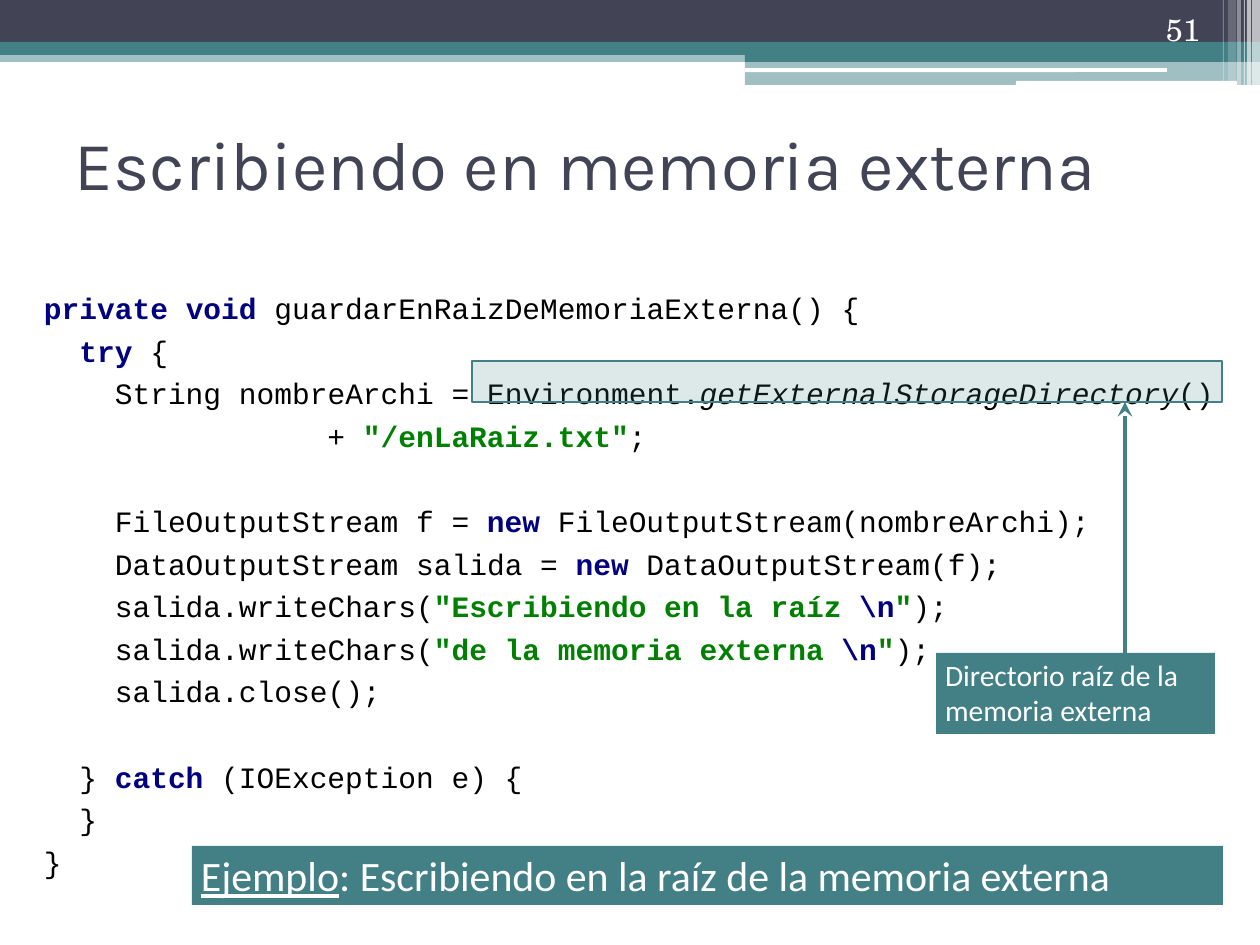
from dataclasses import dataclass
from typing import NamedTuple

from lxml import etree
from pptx import Presentation
from pptx.dml.color import RGBColor
from pptx.enum.shapes import MSO_CONNECTOR, MSO_SHAPE
from pptx.enum.text import MSO_ANCHOR, MSO_AUTO_SIZE, PP_ALIGN
from pptx.oxml.ns import qn
from pptx.util import Emu, Pt

EMU_PER_PX = 10321
RECT, ROUND_RECT = MSO_SHAPE.RECTANGLE, MSO_SHAPE.ROUNDED_RECTANGLE
STRAIGHT = MSO_CONNECTOR.STRAIGHT
TOP, MIDDLE, BOTTOM = MSO_ANCHOR.TOP, MSO_ANCHOR.MIDDLE, MSO_ANCHOR.BOTTOM
LEFT, RIGHT = PP_ALIGN.LEFT, PP_ALIGN.RIGHT
NO_AUTOFIT = MSO_AUTO_SIZE.NONE

TEAL = RGBColor(0x43, 0x80, 0x86)
SLATE = RGBColor(0x42, 0x44, 0x56)
WHITE = RGBColor(0xFF, 0xFF, 0xFF)
BLACK = RGBColor(0x00, 0x00, 0x00)
NAVY = RGBColor(0x00, 0x00, 0x80)
GREEN = RGBColor(0x00, 0x80, 0x00)

CODE_SIZE = 24
CODE_PITCH = 34.6
CODE_CHAR = 0.6 * CODE_SIZE


class Box(NamedTuple):
    left: int
    top: int
    width: int
    height: int


@dataclass(frozen=True)
class Band:
    box: Box
    color: RGBColor
    opacity: int = 100
    preset: MSO_SHAPE = RECT


@dataclass(frozen=True)
class Style:
    font: str
    size: int
    color: RGBColor
    bold: bool = False
    italic: bool = False
    underline: bool = False


class Span(NamedTuple):
    text: str
    style: Style


@dataclass(frozen=True)
class CodeLine:
    indent: int
    spans: list[Span]
    gap_before: bool = False


PLAIN = Style("Courier New", CODE_SIZE, BLACK)
METHOD = Style("Courier New", CODE_SIZE, BLACK, italic=True)
KEYWORD = Style("Courier New", CODE_SIZE, NAVY, bold=True)
STRING = Style("Courier New", CODE_SIZE, GREEN, bold=True)
TITLE = Style("Karla", 56, SLATE)
PAGE = Style("TeX Gyre Schola", 25, WHITE)
CALLOUT = Style("Calibri", 24, WHITE)
EXAMPLE = Style("Calibri", 34, WHITE)
EXAMPLE_LABEL = Style("Calibri", 34, WHITE, underline=True)

HEADER = [
    Band(Box(0, 51, 1260, 11), TEAL, 50),
    Band(Box(0, 0, 1260, 42), SLATE),
    Band(Box(0, 42, 1260, 13), TEAL),
    Band(Box(745, 50, 515, 12), TEAL),
    Band(Box(745, 60, 515, 25), TEAL, 50),
    Band(Box(745, 68, 422, 4), WHITE, preset=ROUND_RECT),
    Band(Box(1016, 81, 221, 5), WHITE, preset=ROUND_RECT),
    Band(Box(1252, 0, 8, 86), WHITE, 65),
    Band(Box(1247, 0, 4, 86), WHITE, 65),
    Band(Box(1244, 0, 1, 86), WHITE, 60),
    Band(Box(1237, 0, 4, 86), WHITE, 40),
    Band(Box(1228, 0, 8, 81), WHITE, 20),
    Band(Box(1223, 0, 1, 81), WHITE, 30),
]


def write_chars(text: str) -> CodeLine:
    return CodeLine(4, [Span("salida.writeChars(", PLAIN), Span(f'"{text} ', STRING),
                        Span(r"\n", KEYWORD), Span('"', STRING), Span(");", PLAIN)])


def new_stream(target: str, call: str, gap_before: bool = False) -> CodeLine:
    return CodeLine(4, [Span(f"{target} = ", PLAIN), Span("new ", KEYWORD),
                        Span(call, PLAIN)], gap_before)


CODE = [
    CodeLine(0, [Span("private void ", KEYWORD),
                 Span("guardarEnRaizDeMemoriaExterna() {", PLAIN)]),
    CodeLine(2, [Span("try ", KEYWORD), Span("{", PLAIN)]),
    CodeLine(4, [Span("String nombreArchi = Environment.", PLAIN),
                 Span("getExternalStorageDirectory", METHOD), Span("()", PLAIN)]),
    CodeLine(16, [Span("+ ", PLAIN), Span('"/enLaRaiz.txt"', STRING), Span(";", PLAIN)]),
    new_stream("FileOutputStream f", "FileOutputStream(nombreArchi);", gap_before=True),
    new_stream("DataOutputStream salida", "DataOutputStream(f);"),
    write_chars("Escribiendo en la raíz"),
    write_chars("de la memoria externa"),
    CodeLine(4, [Span("salida.close();", PLAIN)]),
    CodeLine(2, [Span("} ", PLAIN), Span("catch ", KEYWORD),
                 Span("(IOException e) {", PLAIN)], gap_before=True),
    CodeLine(2, [Span("}", PLAIN)]),
    CodeLine(0, [Span("}", PLAIN)]),
]


def px(value: int) -> Emu:
    return Emu(value * EMU_PER_PX)


def add_band(slide, band: Band):
    shape = slide.shapes.add_shape(band.preset, *map(px, band.box))
    shape.shadow.inherit = False
    shape.fill.solid()
    shape.fill.fore_color.rgb = band.color
    shape.line.fill.background()
    if band.opacity < 100:
        color = shape.element.spPr.find(qn("a:solidFill")).find(qn("a:srgbClr"))
        etree.SubElement(color, qn("a:alpha"), val=str(band.opacity * 1000))
    return shape


def set_frame(shape, anchor, inset_x: int = 9, inset_y: int = 4, wrap: bool = True):
    frame = shape.text_frame
    frame.auto_size = NO_AUTOFIT
    frame.word_wrap = wrap
    frame.vertical_anchor = anchor
    frame.margin_left = frame.margin_right = px(inset_x)
    frame.margin_top = frame.margin_bottom = px(inset_y)
    return frame


def add_spans(paragraph, spans: list[Span], align=LEFT) -> None:
    paragraph.alignment = align
    for text, style in spans:
        run = paragraph.add_run()
        run.text = text
        run.font.name = style.font
        run.font.size = Pt(style.size)
        run.font.color.rgb = style.color
        run.font.bold = style.bold
        run.font.italic = style.italic
        run.font.underline = style.underline


def add_code(slide, box: Box, lines: list[CodeLine]) -> None:
    frame = set_frame(add_band(slide, Band(box, WHITE)), TOP, inset_y=13, wrap=False)
    for index, line in enumerate(lines):
        paragraph = frame.add_paragraph() if index else frame.paragraphs[0]
        paragraph.line_spacing = Pt(CODE_PITCH)
        paragraph.space_before = Pt(CODE_PITCH if line.gap_before else 0)
        properties = paragraph._p.get_or_add_pPr()
        properties.set("marL", str(Pt(line.indent * CODE_CHAR)))
        properties.set("indent", "0")
        add_spans(paragraph, line.spans)


def add_arrow(slide, x: int, start_y: int, end_y: int) -> None:
    arrow = slide.shapes.add_connector(STRAIGHT, px(x), px(start_y), px(x), px(end_y))
    arrow.line.color.rgb = TEAL
    arrow.line.width = Pt(4)
    etree.SubElement(arrow.line._get_or_add_ln(), qn("a:tailEnd"), type="stealth")
    etree.SubElement(arrow.element.spPr, qn("a:effectLst"))


def add_label(slide, box: Box, spans: list[Span]) -> None:
    frame = set_frame(add_band(slide, Band(box, TEAL)), TOP)
    add_spans(frame.paragraphs[0], spans)


def main() -> None:
    deck = Presentation()
    deck.slide_width, deck.slide_height = px(1260), px(945)
    slide = deck.slides.add_slide(deck.slide_layouts[5])

    # Header bands and stripes
    for band in HEADER:
        add_band(slide, band)

    # Title and page number
    title = slide.shapes.title
    title.left, title.top, title.width, title.height = map(px, Box(63, 89, 1134, 147))
    add_spans(set_frame(title, MIDDLE, 12, 6).paragraphs[0],
              [Span("Escribiendo en memoria externa", TITLE)])
    page = slide.shapes.add_textbox(*map(px, Box(918, 4, 294, 50)))
    add_spans(set_frame(page, BOTTOM, 12, 6).paragraphs[0], [Span("51", PAGE)], RIGHT)

    # Code listing
    add_code(slide, Box(35, 270, 1195, 649), CODE)

    # Highlighted call and its explanation
    add_arrow(slide, 1125, 653, 402)
    highlight = add_band(slide, Band(Box(472, 361, 750, 41), TEAL, 18))
    highlight.line.color.rgb = TEAL
    highlight.line.width = Pt(1.5)
    add_label(slide, Box(936, 653, 279, 81),
              [Span("Directorio raíz de la memoria externa", CALLOUT)])

    # Example caption
    add_label(slide, Box(192, 846, 1031, 59),
              [Span("Ejemplo", EXAMPLE_LABEL),
               Span(": Escribiendo en la raíz de la memoria externa", EXAMPLE)])

    deck.save("out.pptx")


if __name__ == "__main__":
    main()
